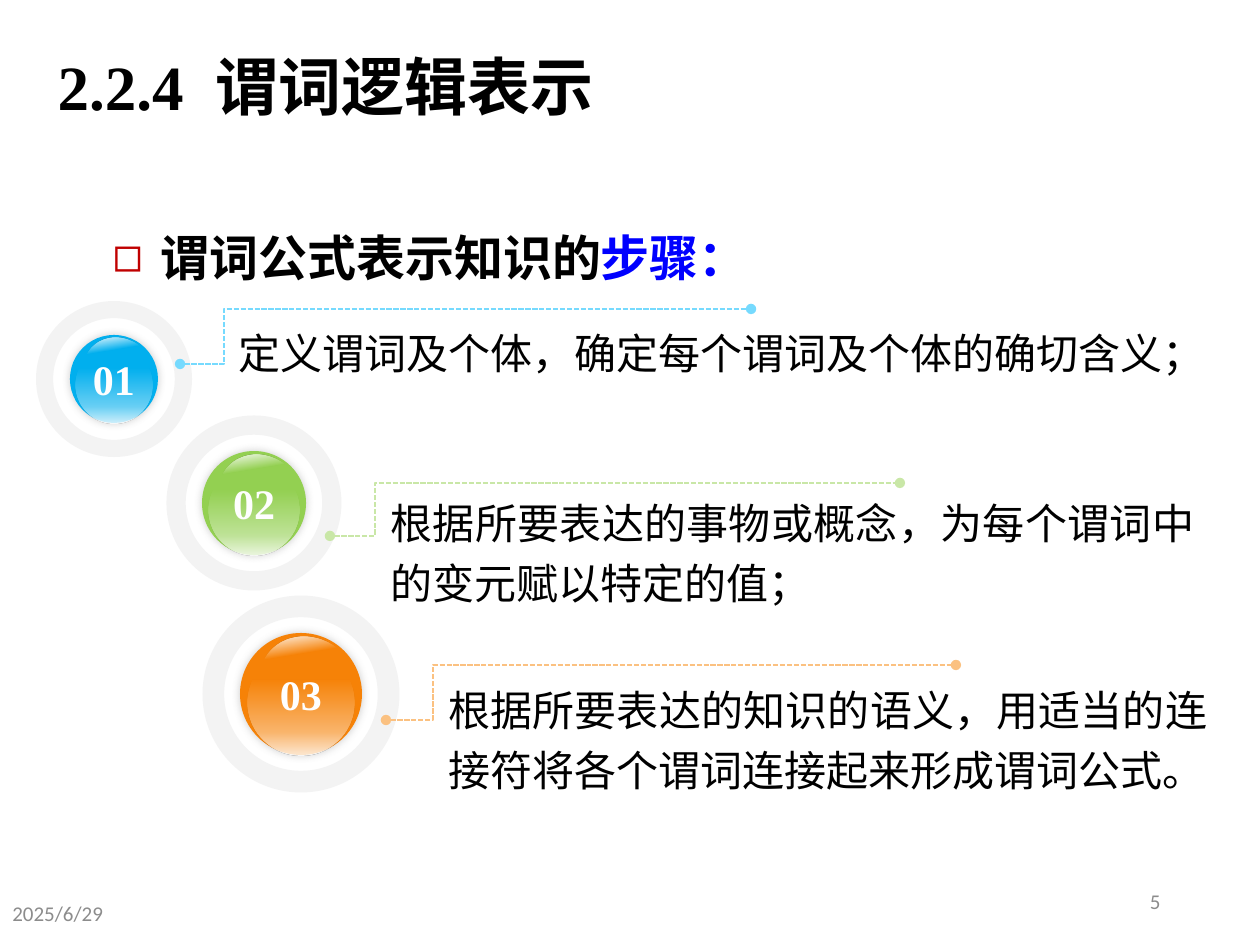
from dataclasses import dataclass

from pptx import Presentation
from pptx import oxml
from pptx import util as u
from pptx.dml import color as dml
from pptx.enum import dml as line_styles, shapes, text
from pptx.oxml import ns

SCALE = 914400 / 126  # EMU in one px


@dataclass(frozen=True)
class Theme:
    serif: str = "Times New Roman"
    sans: str = "Calibri"
    ink: str = "000000"
    accent: str = "0000FF"
    bullet: str = "C00000"
    muted: str = "8C8C8C"
    ring: str = "F3F3F3"
    white: str = "FFFFFF"
    shadow: str = "808080"
    title_size: int = 36
    heading_size: int = 28
    step_size: int = 24
    footer_size: int = 12


@dataclass(frozen=True)
class Step:
    number: str
    wording: str
    center: tuple[int, int]
    ring: int
    ball: int
    colour: str
    line_colour: str
    start: tuple[int, int]
    elbow: int
    end: tuple[int, int]
    box: tuple[int, int, int, int]


THEME = Theme()
STEPS = [
    Step("01", "定义谓词及个体，确定每个谓词及个体的确切含义；",
         (114, 379), 156, 88, "01AFEE", "76DAFE",
         (180, 364), 224, (751, 309), (226, 311, 1010, 115)),
    Step("02", "根据所要表达的事物或概念，为每个谓词中的变元赋以特定的值；",
         (254, 503), 175, 104, "93D051", "C9E7A7",
         (330, 536), 375, (900, 483), (378, 481, 829, 115)),
    Step("03", "根据所要表达的知识的语义，用适当的连接符将各个谓词连接起来形成谓词公式。",
         (301, 694), 197, 122, "F68207", "FBC181",
         (386, 720), 433, (956, 665), (436, 668, 784, 115)),
]
# Gradient stops: position and opacity in percent, all white
HIGHLIGHT = [(0, 0), (16, 87), (30, 0)]
SHADE = [(28, 0), (78, 41), (98, 79)]


def px(value: float) -> int:
    return u.Emu(round(value * SCALE))


def rgb(value: str) -> dml.RGBColor:
    return dml.RGBColor.from_string(value)


def element(xml: str):
    tag, rest = xml.split(" ", 1)
    return oxml.parse_xml(f"{tag} {ns.nsdecls('a')} {rest}")


def place(shape, left: int, top: int, width: int, height: int) -> None:
    shape.left, shape.top = px(left), px(top)
    shape.width, shape.height = px(width), px(height)


def style(run, size: int, colour: str, bold: bool = False, name: str = THEME.serif) -> None:
    run.font.name, run.font.size, run.font.bold = name, u.Pt(size), bold
    run.font.color.rgb = rgb(colour)


def add_text(slide, box: tuple[int, int, int, int], wording: str, size: int,
             colour: str, align, name: str = THEME.serif, anchor=text.MSO_ANCHOR.MIDDLE):
    shape = slide.shapes.add_textbox(*map(px, box))
    frame = shape.text_frame
    frame.word_wrap, frame.vertical_anchor = True, anchor
    frame.text = wording
    paragraph = frame.paragraphs[0]
    paragraph.alignment = align
    style(paragraph.runs[0], size, colour, name=name)
    return paragraph


def add_round(slide, kind, center: tuple[float, float], width: float, height: float):
    """Add a borderless round shape around a centre point."""
    shape = slide.shapes.add_shape(kind, px(center[0] - width / 2), px(center[1] - height / 2),
                                   px(width), px(height))
    shape.shadow.inherit = False
    shape.line.fill.background()
    return shape


def fill_solid(shape, colour: str) -> None:
    shape.fill.solid()
    shape.fill.fore_color.rgb = rgb(colour)


def fill_gloss(shape, stops: list[tuple[int, int]], angle: int) -> None:
    marks = "".join(
        f'<a:gs pos="{position * 1000}"><a:srgbClr val="{THEME.white}">'
        f'<a:alpha val="{opacity * 1000}"/></a:srgbClr></a:gs>' for position, opacity in stops)
    gradient = element(f'<a:gradFill rotWithShape="1"><a:gsLst>{marks}</a:gsLst>'
                       f'<a:lin ang="{angle * 60000}" scaled="0"/></a:gradFill>')
    shape._element.spPr.find(ns.qn("a:prstGeom")).addnext(gradient)


def add_ball(slide, step: Step) -> None:
    x, y = step.center
    ring = add_round(slide, shapes.MSO_SHAPE.DONUT, step.center, step.ring, step.ring)
    ring.adjustments[0] = 0.11
    fill_solid(ring, THEME.ring)

    ball = add_round(slide, shapes.MSO_SHAPE.OVAL, step.center, step.ball, step.ball)
    fill_solid(ball, step.colour)
    ball._element.spPr.find(ns.qn("a:effectLst")).append(element(
        f'<a:outerShdw blurRad="{u.Pt(5)}" dist="0" dir="0" algn="ctr" rotWithShape="0">'
        f'<a:srgbClr val="{THEME.shadow}"><a:alpha val="40000"/></a:srgbClr></a:outerShdw>'))
    frame = ball.text_frame
    frame.margin_left = frame.margin_right = 0
    frame.vertical_anchor = text.MSO_ANCHOR.MIDDLE
    frame.text = step.number
    frame.paragraphs[0].alignment = text.PP_ALIGN.CENTER
    style(frame.paragraphs[0].runs[0], THEME.step_size, THEME.white, bold=True)

    # Glossy layers, in proportion to the ball
    highlight = add_round(slide, shapes.MSO_SHAPE.OVAL,
                          (x + 0.06 * step.ball, y - 0.08 * step.ball),
                          0.83 * step.ball, 0.75 * step.ball)
    highlight.rotation = 35.7
    fill_gloss(highlight, HIGHLIGHT, 45)
    shade = add_round(slide, shapes.MSO_SHAPE.OVAL, (x, y + 0.07 * step.ball),
                      0.87 * step.ball, 0.87 * step.ball)
    fill_gloss(shade, SHADE, 90)


def add_leader(slide, step: Step) -> None:
    leader = slide.shapes.add_connector(shapes.MSO_CONNECTOR.ELBOW,
                                        *map(px, step.start + step.end))
    leader.line.color.rgb = rgb(step.line_colour)
    leader.line.width = u.Pt(1)
    leader.line.dash_style = line_styles.MSO_LINE.SQUARE_DOT
    properties = leader._element.spPr
    bend = round(100000 * (step.elbow - step.start[0]) / (step.end[0] - step.start[0]))
    guides = properties.find(ns.qn("a:prstGeom")).get_or_add_avLst()
    guides.append(element(f'<a:gd name="adj1" fmla="val {bend}"/>'))
    for end in ("headEnd", "tailEnd"):
        properties.find(ns.qn("a:ln")).append(element(f'<a:{end} type="oval"/>'))
    properties.append(element("<a:effectLst />"))


def add_title(slide) -> None:
    title = slide.shapes.title
    place(title, 45, 21, 1106, 129)
    frame = title.text_frame
    frame.auto_size = text.MSO_AUTO_SIZE.NONE
    frame.vertical_anchor = text.MSO_ANCHOR.MIDDLE
    paragraph = frame.paragraphs[0]
    paragraph.alignment = text.PP_ALIGN.LEFT
    for wording in ("2.2.4", " ", "谓词逻辑表示"):
        run = paragraph.add_run()
        run.text = wording
        style(run, THEME.title_size, THEME.ink, bold=True)
    # Widen the gap after the section number
    paragraph.runs[1].font._element.set("spc", "900")


def add_heading(slide) -> None:
    body = slide.placeholders[1]
    place(body, 100, 210, 1120, 83)
    frame = body.text_frame
    frame.auto_size = text.MSO_AUTO_SIZE.NONE
    paragraph = frame.paragraphs[0]
    paragraph.line_spacing, paragraph.space_before = u.Pt(40), u.Pt(0)
    properties = paragraph._p.get_or_add_pPr()
    properties.set("marL", str(px(48)))
    properties.set("indent", str(-px(48)))
    properties.append(element(f'<a:buClr ><a:srgbClr val="{THEME.bullet}"/></a:buClr>'))
    properties.append(element('<a:buChar char="◻"/>'))
    for wording, colour in (("谓词公式表示知识的", THEME.ink), ("步骤：", THEME.accent)):
        run = paragraph.add_run()
        run.text = wording
        style(run, THEME.heading_size, colour, bold=True)


def main() -> None:
    presentation = Presentation()
    presentation.slide_width, presentation.slide_height = px(1260), px(945)
    slide = presentation.slides.add_slide(presentation.slide_layouts[1])

    add_title(slide)
    add_heading(slide)

    # Numbered steps
    for step in STEPS:
        add_ball(slide, step)
        add_leader(slide, step)
        paragraph = add_text(slide, step.box, step.wording, THEME.step_size, THEME.ink,
                             text.PP_ALIGN.JUSTIFY, anchor=text.MSO_ANCHOR.TOP)
        paragraph.line_spacing = 1.2

    # Footer: date and slide number
    add_text(slide, (0, 882, 262, 63), "2025/6/29", THEME.footer_size, THEME.muted,
             text.PP_ALIGN.LEFT, THEME.sans)
    add_text(slide, (890, 876, 283, 50), "5", THEME.footer_size, THEME.muted,
             text.PP_ALIGN.RIGHT, THEME.sans)

    presentation.save("out.pptx")


if __name__ == "__main__":
    main()
